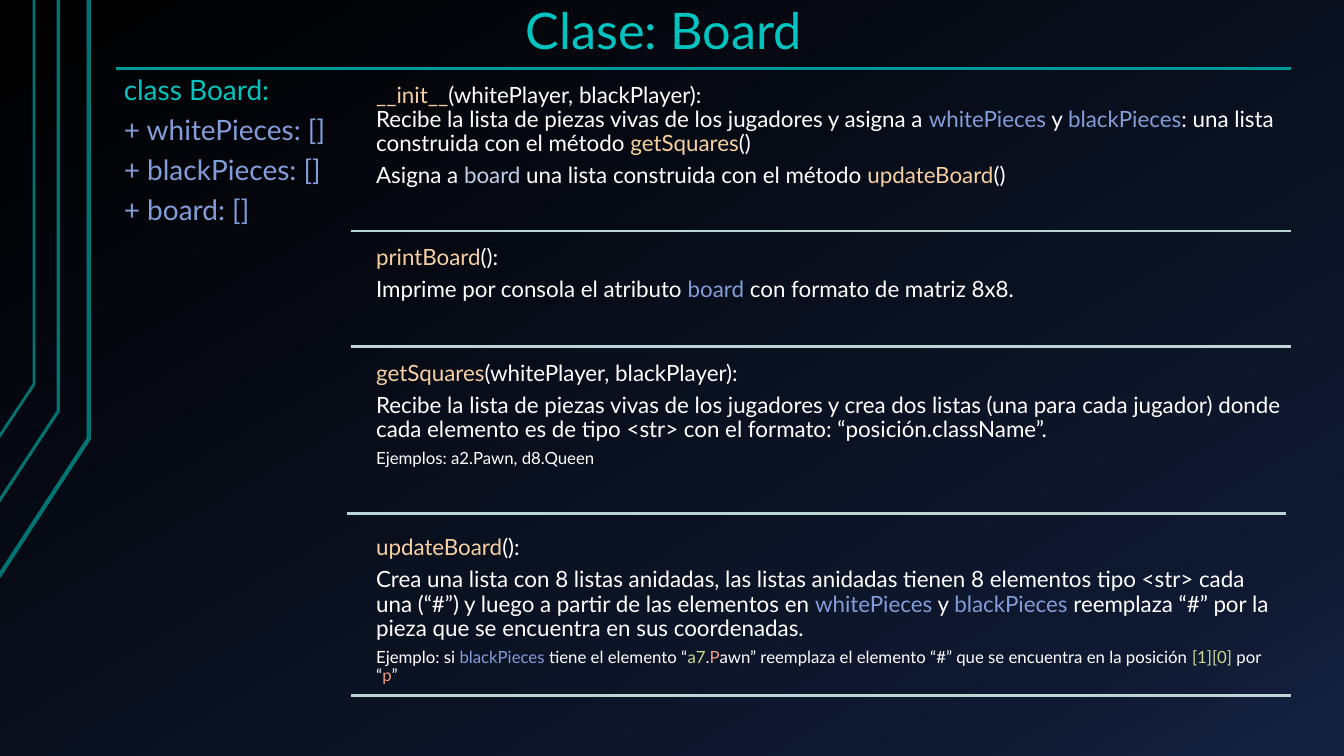
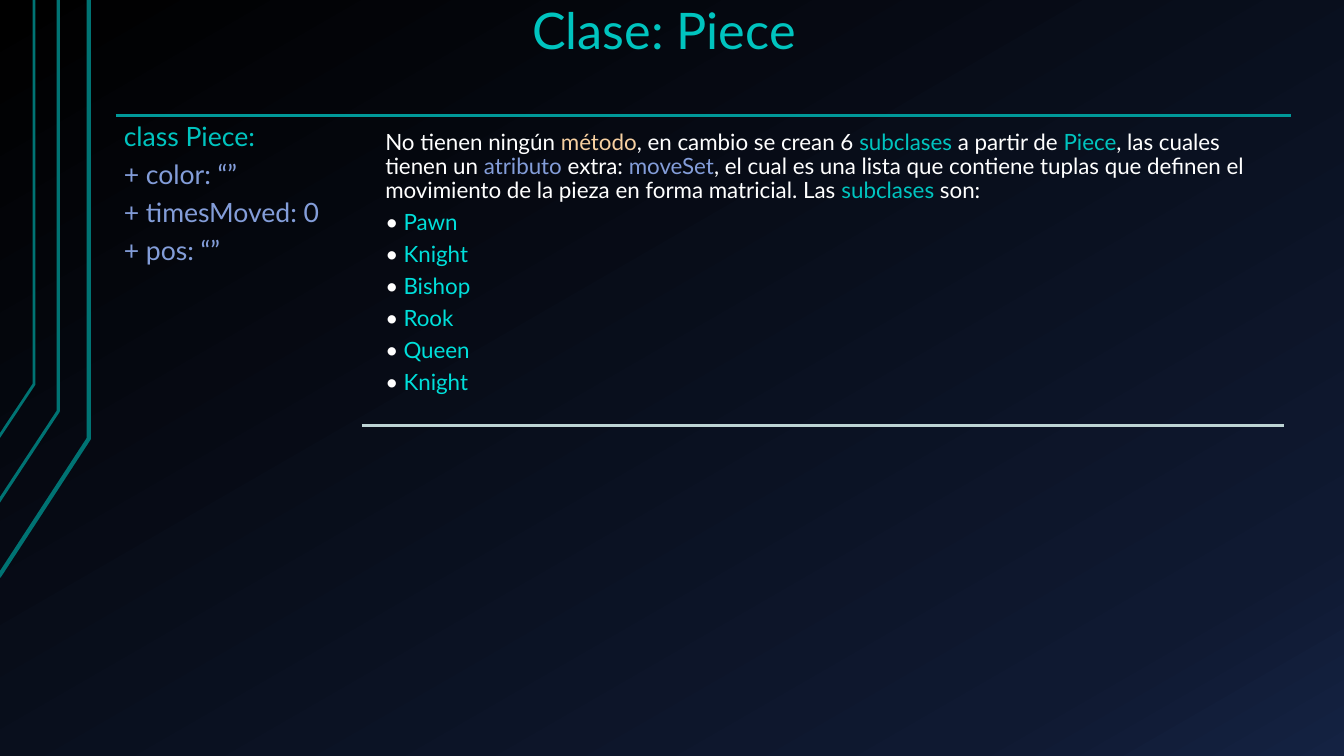
from copy import deepcopy

from lxml.etree import SubElement
from pptx import Presentation
from pptx.dml.color import RGBColor
from pptx.enum.shapes import MSO_CONNECTOR
from pptx.enum.text import MSO_ANCHOR, PP_ALIGN
from pptx.oxml.ns import qn
from pptx.util import Cm, Pt

FONT = "Lato"
COLORS = {
    "class": "00C4BF",
    "subclass": "00DFDA",
    "attribute": "839DD9",
    "pale": "C1CEEC",
    "method": "F7D0A1",
    "text": "FFFFFF",
    "position": "CFDB94",
    "letter": "EF9A80",
    "rail": "007373",
    "heading rule": "009999",
    "section rule": "BDD4D4",
}
BACKGROUND = [(0, "000000"), (0.85, "0F1931"), (1, "142242")]
TITLE_SIZE, BODY, NOTE = 36, 16, 12

# Lengths are in centimetres
RAILS = [
    (3, [(-0.03, 14.53), (2.24, 11.05), (2.24, 0)]),
    (2.25, [(-0.05, 12.67), (1.47, 10.36), (1.47, 0)]),
    (2, [(-0.03, 11.02), (0.86, 9.68), (0.86, 0)]),
]
TITLE_BOX = (2.34, -0.86, 28.78, 3.4)
HEADING_LEFT, HEADING_RIGHT = 2.92, 32.54
ATTRIBUTES_HEIGHT = 16.6
BULLET_INDENT = 0.46

# A section's "gap" separates its text from the rule above;
# its "rule" closes it and holds left, right and height on the slide.
CLASSES = [
    {
        "title": "Clase: Board",
        "heading_y": 1.73,
        "declaration": "class Board:",
        "attributes": ["+ whitePieces: []", "+ blackPieces: []", "+ board: []"],
        "attribute_size": 20,
        "attribute_width": 5.92,
        "section_box": (9.3, 23.24, 3.91),
        "sections": [
            {
                "gap": 0.2,
                "rule": (8.84, 32.54, 5.82),
                "paragraphs": [
                    (BODY, [
                        ("__init__", "method"),
                        ("(whitePlayer, blackPlayer):\nRecibe la lista de piezas vivas "
                         "de los jugadores y asigna a ", "text"),
                        ("whitePieces", "attribute"),
                        (" y ", "text"),
                        ("blackPieces", "attribute"),
                        (": una lista construida con el método ", "text"),
                        ("getSquares", "method"),
                        ("()", "text"),
                    ]),
                    (BODY, [
                        ("Asigna a ", "text"),
                        ("board", "pale"),
                        (" una lista construida con el método ", "text"),
                        ("updateBoard", "method"),
                        ("()", "text"),
                    ]),
                ],
            },
            {
                "gap": 0.2,
                "rule": (8.84, 32.54, 8.74),
                "paragraphs": [
                    (BODY, [("printBoard", "method"), ("():", "text")]),
                    (BODY, [
                        ("Imprime por consola el atributo ", "text"),
                        ("board", "attribute"),
                        (" con formato de matriz 8x8.", "text"),
                    ]),
                ],
            },
            {
                "gap": 0.2,
                "rule": (8.74, 32.41, 12.93),
                "paragraphs": [
                    (BODY, [("getSquares", "method"),
                            ("(whitePlayer, blackPlayer):", "text")]),
                    (BODY, [
                        ("Recibe la lista de piezas vivas de los jugadores y crea dos "
                         "listas (una para cada jugador) donde cada elemento es de tipo "
                         "<str> con el formato: “posición.className”.", "text"),
                    ]),
                    (NOTE, [("Ejemplos: a2.Pawn, d8.Queen", "text")]),
                ],
            },
            {
                "gap": 0.41,
                "rule": (8.84, 32.54, 17.53),
                "paragraphs": [
                    (BODY, [("updateBoard", "method"), ("():", "text")]),
                    (BODY, [
                        ("Crea una lista con 8 listas anidadas, las listas anidadas "
                         "tienen 8 elementos tipo <str> cada una (“#”) y luego a partir "
                         "de las elementos en ", "text"),
                        ("whitePieces", "attribute"),
                        (" y ", "text"),
                        ("blackPieces", "attribute"),
                        (" reemplaza “#” por la pieza que se encuentra en sus "
                         "coordenadas.", "text"),
                    ]),
                    (NOTE, [
                        ("Ejemplo: si ", "text"),
                        ("blackPieces ", "attribute"),
                        ("tiene el elemento “", "text"),
                        ("a7", "position"),
                        (".", "text"),
                        ("P", "letter"),
                        ("awn” reemplaza el elemento “#” que se encuentra en la "
                         "posición ", "text"),
                        ("[1][0] ", "position"),
                        ("por “", "text"),
                        ("p", "letter"),
                        ("”", "text"),
                    ]),
                ],
            },
        ],
    },
    {
        "title": "Clase: Piece",
        "heading_y": 2.92,
        "declaration": "class Piece:",
        "attributes": ["+ color: “”", "+ timesMoved: 0", "+ pos: “”"],
        "attribute_size": 19,
        "attribute_width": 6.35,
        "section_box": (9.53, 22.78, 7.4),
        "sections": [
            {
                "gap": 0.2,
                "rule": (9.12, 32.36, 10.72),
                "paragraphs": [
                    (BODY, [
                        ("No tienen ningún ", "text"),
                        ("método", "method"),
                        (", en cambio se crean 6 ", "text"),
                        ("subclases", "class"),
                        (" a partir de ", "text"),
                        ("Piece", "class"),
                        (", las cuales tienen un ", "text"),
                        ("atributo", "attribute"),
                        (" extra: ", "text"),
                        ("moveSet", "attribute"),
                        (", el cual es una lista que contiene tuplas que definen el "
                         "movimiento de la pieza en forma matricial. Las ", "text"),
                        ("subclases", "class"),
                        (" son:", "text"),
                    ]),
                ],
                "bullets": ["Pawn", "Knight", "Bishop", "Rook", "Queen", "Knight"],
            },
        ],
    },
]


def rgb(name):
    return RGBColor.from_string(COLORS[name])


def set_background(layout):
    fill = layout.background.fill
    fill.gradient()
    fill.gradient_angle = 300
    stop_list = layout.element.find(".//" + qn("a:gsLst"))
    stop_list.append(deepcopy(stop_list[-1]))
    for stop, (position, color) in zip(fill.gradient_stops, BACKGROUND):
        stop.position = position
        stop.color.rgb = RGBColor.from_string(color)


def move_rails_to_layout(slide, layout):
    """Draw the rails on a slide, then hand them to the layout all slides share."""
    rails = []
    for width, corners in RAILS:
        start, *rest = [(Cm(x), Cm(y)) for x, y in corners]
        builder = slide.shapes.build_freeform(*start)
        builder.add_line_segments(rest, close=False)
        rail = builder.convert_to_shape()
        rail.shadow.inherit = False
        rail.fill.background()
        rail.line.color.rgb = rgb("rail")
        rail.line.width = Pt(width)
        rails.append(rail)
    tree = layout.shapes.element
    for placeholder in list(layout.placeholders):
        tree.remove(placeholder.element)
    for rail in rails:
        tree.append(rail.element)


def add_rule(slide, left, right, y, color):
    rule = slide.shapes.add_connector(
        MSO_CONNECTOR.STRAIGHT, Cm(left), Cm(y), Cm(right), Cm(y))
    rule.line.color.rgb = rgb(color)
    rule.line.width = Pt(2)
    SubElement(rule.element.find(qn("p:spPr")), qn("a:effectLst"))


def add_frame(slide, box, margin_x, margin_y):
    frame = slide.shapes.add_textbox(*map(Cm, box)).text_frame
    frame.word_wrap = True
    frame.margin_left = frame.margin_right = Cm(margin_x)
    frame.margin_top = frame.margin_bottom = Cm(margin_y)
    return frame


def fill_paragraph(paragraph, size, runs):
    paragraph.line_spacing = 0.9
    paragraph.space_after = Pt(0.35 * size)
    for text, color in runs:
        for index, line in enumerate(text.split("\n")):
            if index:
                paragraph.add_line_break()
            run = paragraph.add_run()
            run.text = line
            run.font.name = FONT
            run.font.size = Pt(size)
            run.font.color.rgb = rgb(color)


def fill_frame(frame, paragraphs):
    for index, (size, runs) in enumerate(paragraphs):
        paragraph = frame.add_paragraph() if index else frame.paragraphs[0]
        fill_paragraph(paragraph, size, runs)


def add_bullet(frame, text):
    paragraph = frame.add_paragraph()
    fill_paragraph(paragraph, BODY, [(text, "subclass")])
    properties = paragraph._p.get_or_add_pPr()
    properties.set("marL", str(Cm(BULLET_INDENT)))
    properties.set("indent", str(-Cm(BULLET_INDENT)))
    bullet_color = SubElement(properties, qn("a:buClr"))
    SubElement(bullet_color, qn("a:srgbClr"), val=COLORS["text"])
    SubElement(properties, qn("a:buFont"), typeface=FONT)
    SubElement(properties, qn("a:buChar"), char="•")


def add_title(slide, text):
    frame = add_frame(slide, TITLE_BOX, 0.33, 0.18)
    frame.vertical_anchor = MSO_ANCHOR.MIDDLE
    fill_frame(frame, [(TITLE_SIZE, [(text, "class")])])
    title = frame.paragraphs[0]
    title.alignment = PP_ALIGN.CENTER
    title.space_after = Pt(0)


def add_class(slide, content):
    add_title(slide, content["title"])
    heading_y = content["heading_y"]
    add_rule(slide, HEADING_LEFT, HEADING_RIGHT, heading_y, "heading rule")

    members = add_frame(
        slide, (HEADING_LEFT, heading_y, content["attribute_width"], ATTRIBUTES_HEIGHT),
        0.2, 0.2)
    lines = [(content["declaration"], "class")]
    lines += [(attribute, "attribute") for attribute in content["attributes"]]
    fill_frame(members, [(content["attribute_size"], [line]) for line in lines])

    left, width, height = content["section_box"]
    rule_above = heading_y
    for section in content["sections"]:
        top = rule_above + section["gap"]
        frame = add_frame(slide, (left, top, width, height), 0.18, 0.18)
        fill_frame(frame, section["paragraphs"])
        for bullet in section.get("bullets", []):
            add_bullet(frame, bullet)
        add_rule(slide, *section["rule"], "section rule")
        rule_above = section["rule"][-1]


def main():
    deck = Presentation()
    deck.slide_width, deck.slide_height = Cm(33.87), Cm(19.05)
    blank = deck.slide_layouts[6]
    set_background(blank)
    slides = [deck.slides.add_slide(blank) for _ in CLASSES]
    move_rails_to_layout(slides[0], blank)
    for slide, content in zip(slides, CLASSES):
        add_class(slide, content)
    deck.save("out.pptx")


if __name__ == "__main__":
    main()
